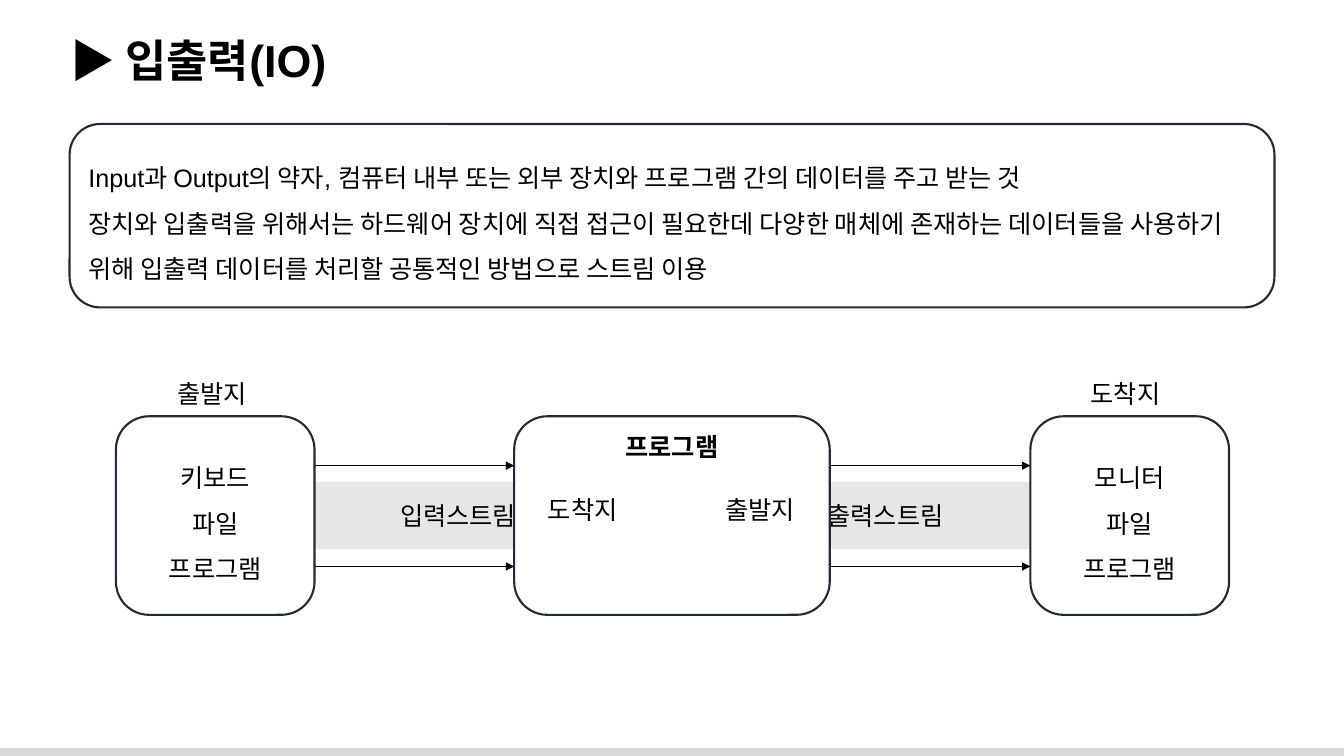
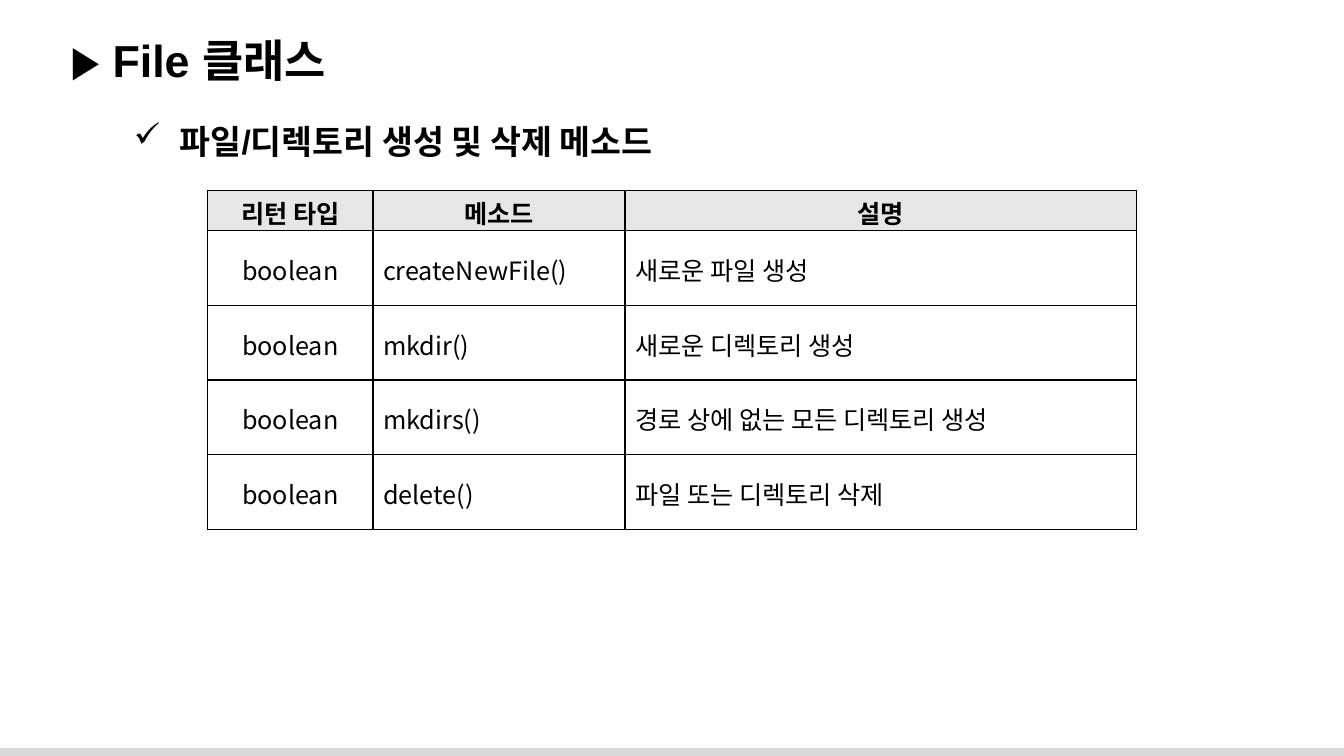
from dataclasses import dataclass

from lxml.etree import SubElement
from pptx import Presentation
from pptx.dml.color import RGBColor
from pptx.enum.shapes import MSO_CONNECTOR, MSO_SHAPE
from pptx.enum.text import MSO_ANCHOR, MSO_AUTO_SIZE, PP_ALIGN
from pptx.oxml.ns import qn
from pptx.shapes.autoshape import Shape
from pptx.slide import Slide
from pptx.table import _Cell
from pptx.text.text import _Paragraph
from pptx.util import Inches, Pt

BLACK = RGBColor(0x00, 0x00, 0x00)
WHITE = RGBColor(0xFF, 0xFF, 0xFF)
NAVY = RGBColor(0x22, 0x2A, 0x35)
LIGHT_GRAY = RGBColor(0xE7, 0xE6, 0xE6)
FOOTER_GRAY = RGBColor(0xD9, 0xD9, 0xD9)

LATIN_FONT = "Arial"
KOREAN_FONT = "Noto Sans CJK KR"
BODY_SIZE = 18

NODE_TOP = 4.13
NODE_HEIGHT = 1.97
ARROW_HEIGHTS = (4.62, 5.62)


@dataclass(frozen=True)
class Area:
    left: float
    top: float
    width: float
    height: float

    @property
    def right(self) -> float:
        return self.left + self.width

    def lengths(self) -> tuple[int, int, int, int]:
        return (Inches(self.left), Inches(self.top),
                Inches(self.width), Inches(self.height))


@dataclass(frozen=True)
class Device:
    label: str
    label_left: float
    items: tuple[str, ...]
    area: Area


@dataclass(frozen=True)
class Method:
    return_type: str
    name: str
    description: str


PROGRAM_AREA = Area(5.1, NODE_TOP, 3.13, NODE_HEIGHT)
SOURCE = Device("출발지", 1.66, ("키보드", "파일", "프로그램"),
                Area(1.15, NODE_TOP, 1.97, NODE_HEIGHT))
TARGET = Device("도착지", 10.72, ("모니터", "파일", "프로그램"),
                Area(10.22, NODE_TOP, 1.97, NODE_HEIGHT))

INTRODUCTION = (
    "Input과 Output의 약자, 컴퓨터 내부 또는 외부 장치와 프로그램 간의 데이터를 주고 받는 것",
    "장치와 입출력을 위해서는 하드웨어 장치에 직접 접근이 필요한데 다양한 매체에 존재하는 "
    "데이터들을 사용하기 위해 입출력 데이터를 처리할 공통적인 방법으로 스트림 이용",
)

METHOD_HEADINGS = ("리턴 타입", "메소드", "설명")
METHODS = (
    Method("boolean", "createNewFile()", "새로운 파일 생성"),
    Method("boolean", "mkdir()", "새로운 디렉토리 생성"),
    Method("boolean", "mkdirs()", "경로 상에 없는 모든 디렉토리 생성"),
    Method("boolean", "delete()", "파일 또는 디렉토리 삭제"),
)
COLUMN_WIDTHS = (1.64, 2.5, 5.07)
HEADING_HEIGHT = 0.4
METHOD_HEIGHT = 0.74


def add_text(para: _Paragraph, text: str, size: int = BODY_SIZE,
             bold: bool = False, font: str = LATIN_FONT) -> None:
    span = para.add_run()
    span.text = text
    span.font.size = Pt(size)
    span.font.bold = bold
    span.font.name = font
    span.font.color.rgb = BLACK
    east_asian = SubElement(span.font._element, qn("a:ea"))
    east_asian.set("typeface", KOREAN_FONT)


def add_lines(box: Shape, lines: tuple[str, ...], align: PP_ALIGN) -> None:
    frame = box.text_frame
    for index, line in enumerate(lines):
        para = frame.add_paragraph() if index else frame.paragraphs[0]
        para.alignment = align
        para.line_spacing = 1.5
        add_text(para, line)


def set_tab_stops(para: _Paragraph, *positions: float) -> None:
    tab_list = SubElement(para._p.get_or_add_pPr(), qn("a:tabLst"))
    for position in positions:
        SubElement(tab_list, qn("a:tab"), pos=str(Inches(position)), algn="l")


def add_box(page: Slide, kind: MSO_SHAPE, area: Area,
            fill: RGBColor | None = None, outline: RGBColor | None = None,
            anchor: MSO_ANCHOR = MSO_ANCHOR.MIDDLE) -> Shape:
    box = page.shapes.add_shape(kind, *area.lengths())
    box.shadow.inherit = False
    if fill is None:
        box.fill.background()
    else:
        box.fill.solid()
        box.fill.fore_color.rgb = fill
    if outline is None:
        box.line.fill.background()
    else:
        box.line.color.rgb = outline
        box.line.width = Pt(1.5)
    box.text_frame.word_wrap = True
    box.text_frame.vertical_anchor = anchor
    return box


def add_label(page: Slide, area: Area, text: str, size: int = BODY_SIZE,
              bold: bool = False, wrap: bool = False) -> _Paragraph:
    box = page.shapes.add_textbox(*area.lengths())
    box.text_frame.word_wrap = wrap
    box.text_frame.auto_size = MSO_AUTO_SIZE.SHAPE_TO_FIT_TEXT
    para = box.text_frame.paragraphs[0]
    add_text(para, text, size, bold)
    return para


def add_page(deck: Presentation, title: str) -> Slide:
    """Add a blank page with the shared footer band and title."""
    page = deck.slides.add_slide(deck.slide_layouts[6])
    add_box(page, MSO_SHAPE.RECTANGLE, Area(-0.03, 7.42, 13.39, 0.11), FOOTER_GRAY)
    add_label(page, Area(0.6, 0.28, 12.6, 0.64), f"▶ {title}", 32, True, True)
    return page


def add_arrow(page: Slide, start: float, end: float, height: float) -> None:
    arrow = page.shapes.add_connector(
        MSO_CONNECTOR.STRAIGHT, Inches(start), Inches(height), Inches(end), Inches(height))
    arrow.line.color.rgb = BLACK
    arrow.line.width = Pt(0.5)
    SubElement(arrow.line._get_or_add_ln(), qn("a:tailEnd"), type="triangle")
    SubElement(arrow._element.spPr, qn("a:effectLst"))


def add_stream_band(page: Slide) -> None:
    band = add_box(page, MSO_SHAPE.RECTANGLE, Area(1.15, 4.78, 11.02, 0.67), LIGHT_GRAY)
    para = band.text_frame.paragraphs[0]
    para.alignment = PP_ALIGN.LEFT
    set_tab_stops(para, 2.72, 6.96)
    add_text(para, "\t입력스트림\t출력스트림", font=KOREAN_FONT)


def add_program(page: Slide) -> None:
    box = add_box(page, MSO_SHAPE.ROUNDED_RECTANGLE, PROGRAM_AREA, WHITE, NAVY, MSO_ANCHOR.TOP)
    heading = box.text_frame.paragraphs[0]
    heading.alignment = PP_ALIGN.CENTER
    add_text(heading, "프로그램", bold=True)
    ends = box.text_frame.add_paragraph()
    ends.alignment = PP_ALIGN.LEFT
    ends.space_before = Pt(24)
    set_tab_stops(ends, 0.14, 1.9)
    add_text(ends, "\t도착지\t출발지")


def add_device(page: Slide, device: Device) -> None:
    box = add_box(page, MSO_SHAPE.ROUNDED_RECTANGLE, device.area, WHITE, NAVY)
    add_lines(box, device.items, PP_ALIGN.CENTER)
    add_label(page, Area(device.label_left, 3.7, 0.96, 0.4), device.label)


def add_stream_page(deck: Presentation) -> None:
    page = add_page(deck, "입출력(IO)")
    add_stream_band(page)
    add_program(page)
    for device in (SOURCE, TARGET):
        add_device(page, device)
    for height in ARROW_HEIGHTS:
        add_arrow(page, SOURCE.area.right, PROGRAM_AREA.left, height)
        add_arrow(page, PROGRAM_AREA.right, TARGET.area.left, height)
    introduction = add_box(page, MSO_SHAPE.ROUNDED_RECTANGLE,
                           Area(0.69, 1.23, 11.95, 1.82), outline=NAVY)
    add_lines(introduction, INTRODUCTION, PP_ALIGN.LEFT)


def add_borders(cell: _Cell) -> None:
    properties = cell._tc.get_or_add_tcPr()
    for side in ("lnL", "lnR", "lnT", "lnB"):
        border = SubElement(properties, qn(f"a:{side}"), w=str(Pt(1)))
        fill = SubElement(border, qn("a:solidFill"))
        SubElement(fill, qn("a:srgbClr"), val=str(BLACK))


def fill_cell(cell: _Cell, text: str, heading: bool, centered: bool) -> None:
    add_borders(cell)
    if heading:
        cell.fill.solid()
        cell.fill.fore_color.rgb = LIGHT_GRAY
    else:
        cell.fill.background()
    cell.vertical_anchor = MSO_ANCHOR.MIDDLE
    cell.margin_top = Inches(0.03)
    cell.margin_bottom = Inches(0)
    para = cell.text_frame.paragraphs[0]
    para.alignment = PP_ALIGN.CENTER if centered else PP_ALIGN.LEFT
    add_text(para, text, bold=heading, font=KOREAN_FONT)


def add_method_table(page: Slide) -> None:
    rows = [METHOD_HEADINGS] + [(m.return_type, m.name, m.description) for m in METHODS]
    heights = [HEADING_HEIGHT] + [METHOD_HEIGHT] * len(METHODS)
    area = Area(2.06, 1.89, sum(COLUMN_WIDTHS), sum(heights))
    table = page.shapes.add_table(len(rows), len(COLUMN_WIDTHS), *area.lengths()).table
    table.first_row = False
    table.horz_banding = False
    for column, width in zip(table.columns, COLUMN_WIDTHS):
        column.width = Inches(width)
    for row_index, (texts, height) in enumerate(zip(rows, heights)):
        table.rows[row_index].height = Inches(height)
        heading = row_index == 0
        for column_index, text in enumerate(texts):
            fill_cell(table.cell(row_index, column_index), text, heading,
                      centered=heading or column_index == 0)


def add_file_page(deck: Presentation) -> None:
    page = add_page(deck, "File 클래스")
    subtitle = add_label(page, Area(1.23, 1.15, 6.16, 0.5),
                         " 파일/디렉토리 생성 및 삭제 메소드", 24, True)
    properties = subtitle._p.get_or_add_pPr()
    properties.set("marL", str(Inches(0.38)))
    properties.set("indent", str(Inches(-0.38)))
    SubElement(properties, qn("a:buChar"), char="✓")
    add_method_table(page)


def main() -> None:
    deck = Presentation()
    deck.slide_width = Inches(13.33)
    deck.slide_height = Inches(7.5)
    add_stream_page(deck)
    add_file_page(deck)
    deck.save("out.pptx")


if __name__ == "__main__":
    main()
